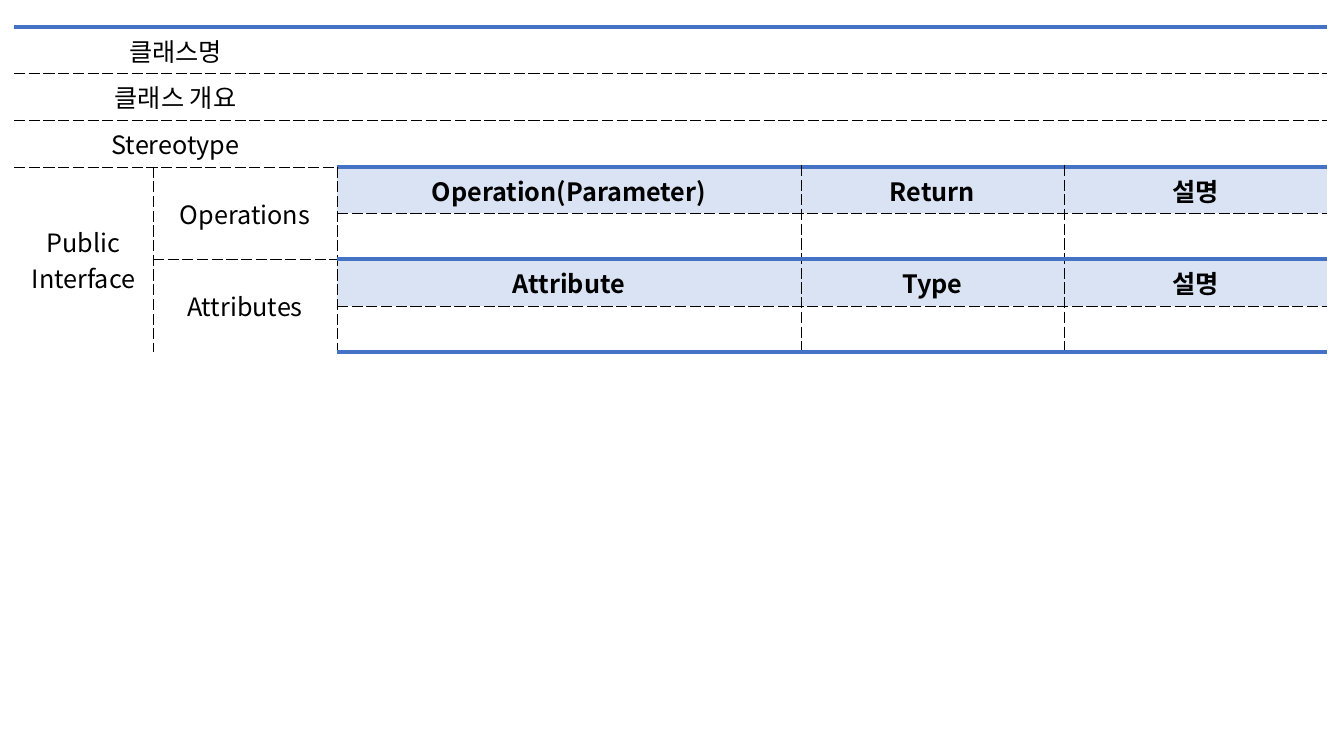
import pptx
import pptx.dml.color
import pptx.enum.text
import pptx.oxml.ns
import pptx.util
from lxml import etree

PX = 914400 / 100.8
COLUMNS = [139, 184, 464, 263, 263]
ROW_COUNT = 7
ROW_HEIGHT = 46
SPANS = [(row, col, 1, width) for row in range(3) for col, width in ((0, 2), (2, 3))]
SPANS += [(3, 0, 4, 1), (3, 1, 2, 1), (5, 1, 2, 1)]
LABELS = {
    (0, 0): ["클래스명"],
    (1, 0): ["클래스 개요"],
    (2, 0): ["Stereotype"],
    (3, 0): ["Public", "Interface"],
    (3, 1): ["Operations"],
    (5, 1): ["Attributes"],
}
HEADERS = {
    3: ["Operation(Parameter)", "Return", "설명"],
    5: ["Attribute", "Type", "설명"],
}


def px(length):
    return pptx.util.Emu(round(length * PX))


def color(value):
    return pptx.dml.color.RGBColor.from_string(value)


class ClassSpecSlide:
    """Holds the style and the slide, and draws the class specification table."""

    font = "Noto Sans CJK KR"
    size = 18
    ink = "000000"
    accent = "4472C4"
    header_fill = "DAE3F3"

    def __init__(self, deck):
        self.slide = deck.slides.add_slide(deck.slide_layouts[6])

    def add_grid(self, left, top):
        frame = self.slide.shapes.add_table(
            ROW_COUNT, len(COLUMNS), px(left), px(top),
            px(sum(COLUMNS)), px(ROW_COUNT * ROW_HEIGHT))
        grid = frame.table
        grid.first_row = grid.horz_banding = False
        for column, width in zip(grid.columns, COLUMNS):
            column.width = px(width)
        for row in grid.rows:
            row.height = px(ROW_HEIGHT)
        for row, col, height, width in SPANS:
            grid.cell(row, col).merge(grid.cell(row + height - 1, col + width - 1))
        return grid

    def add_border(self, cell, side, kind):
        properties = cell._tc.get_or_add_tcPr()
        line = etree.SubElement(properties, pptx.oxml.ns.qn("a:ln" + side))
        if kind == "none":
            etree.SubElement(line, pptx.oxml.ns.qn("a:noFill"))
            return
        thick = kind == "thick"
        line.set("w", str(pptx.util.Pt(3 if thick else 0.25)))
        paint = etree.SubElement(line, pptx.oxml.ns.qn("a:solidFill"))
        etree.SubElement(paint, pptx.oxml.ns.qn("a:srgbClr"),
                         val=self.accent if thick else self.ink)
        etree.SubElement(line, pptx.oxml.ns.qn("a:prstDash"),
                         val="solid" if thick else "lgDash")

    def add_label(self, cell, lines, bold=False):
        cell.vertical_anchor = pptx.enum.text.MSO_ANCHOR.MIDDLE
        for index, text in enumerate(lines):
            body = cell.text_frame
            paragraph = body.add_paragraph() if index else body.paragraphs[0]
            paragraph.alignment = pptx.enum.text.PP_ALIGN.CENTER
            run = paragraph.add_run()
            run.text = text
            run.font.size = pptx.util.Pt(self.size)
            run.font.bold = bold
            run.font.color.rgb = color(self.ink)
            run.font.name = self.font
            etree.SubElement(run.font._element, pptx.oxml.ns.qn("a:ea"),
                             typeface=self.font)

    def fill_cell(self, cell, header):
        if header:
            cell.fill.solid()
            cell.fill.fore_color.rgb = color(self.header_fill)
        else:
            cell.fill.background()


def span_owner(row, col):
    for top, left, height, width in SPANS:
        if top <= row < top + height and left <= col < left + width:
            return top, left
    return row, col


def vertical_border(row, edge):
    if edge in (0, len(COLUMNS)) or span_owner(row, edge - 1) == span_owner(row, edge):
        return "none"
    return "dashed"


def horizontal_border(edge, col):
    if edge in (0, ROW_COUNT) or (edge in HEADERS and col >= 2):
        return "thick"
    if span_owner(edge - 1, col) == span_owner(edge, col):
        return "none"
    return "dashed"


def main():
    deck = pptx.Presentation()
    deck.slide_width, deck.slide_height = px(1344), px(756)
    page = ClassSpecSlide(deck)
    grid = page.add_grid(14, 27)
    for row in range(ROW_COUNT):
        for col in range(len(COLUMNS)):
            cell = grid.cell(row, col)
            page.add_border(cell, "L", vertical_border(row, col))
            page.add_border(cell, "R", vertical_border(row, col + 1))
            page.add_border(cell, "T", horizontal_border(row, col))
            page.add_border(cell, "B", horizontal_border(row + 1, col))
            page.fill_cell(cell, row in HEADERS and col >= 2)
    for (row, col), lines in LABELS.items():
        page.add_label(grid.cell(row, col), lines)
    for row, titles in HEADERS.items():
        for col, title in enumerate(titles, 2):
            page.add_label(grid.cell(row, col), [title], bold=True)
    deck.save("out.pptx")


if __name__ == "__main__":
    main()
